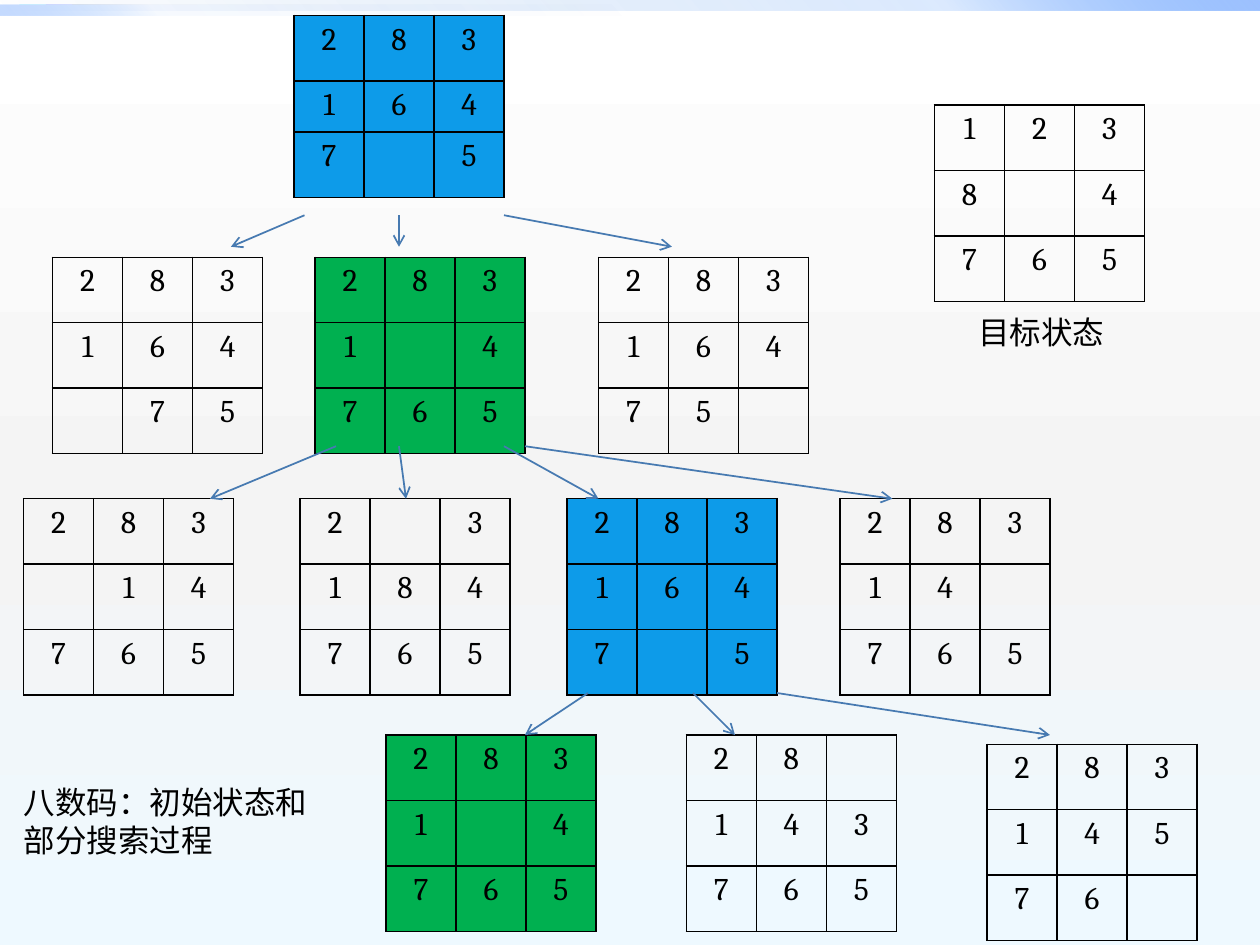
from lxml.etree import SubElement
from pptx import Presentation
from pptx.dml.color import RGBColor
from pptx.enum.shapes import MSO_CONNECTOR as CONNECTOR, MSO_SHAPE as SHAPE
from pptx.enum.text import MSO_AUTO_SIZE as AUTO_SIZE, PP_ALIGN as ALIGN
from pptx.oxml import parse_xml
from pptx.oxml.ns import nsdecls, qn
from pptx.util import Pt

COLORS = {
    "text": "000000", "border": "000000", "arrow": "477AB1",
    "blue": "0D9BE9", "green": "00B050",
    "white": "FFFFFF", "gray": "F4F4F4", "pale": "EEF9FF",
    "bar_dark": "0058B7", "bar_mid": "4F95FF", "bar_light": "9EC2FF",
}
FONT = "Cambria"
CELL_WIDTH, ROW_HEIGHT = 40, 37.4
SHORT_ROW = 29.2

# left, top, digits row by row (a space is the empty square), fill
BOARDS = [
    (168, 8.8, "2831647 5", "blue"),
    (30, 147, "283164 75", None),
    (180, 147, "2831 4765", "green"),
    (342, 147, "28316475 ", None),
    (13.5, 285, "283 14765", None),
    (171.5, 285, "2 3184765", None),
    (324, 285, "2831647 5", "blue"),
    (480, 285, "28314 765", None),
    (220.5, 420, "2831 4765", "green"),
    (392.2, 420, "28 143765", None),
    (564, 425.3, "28314576 ", None),
    (534, 60, "1238 4765", None),
]

# start y, end y, pairs of start x and end x
ARROW_LEVELS = [
    (123, 141, [(174, 132), (228, 228), (288, 384)]),
    (255, 285, [(192, 120), (228, 232), (288, 342), (300, 510)]),
    (396, 420, [(336, 300), (396, 420), (444, 600)]),
]


def rgb(name):
    return RGBColor.from_string(COLORS[name])


def set_gradient(fill, properties, stops, angle):
    """Give a fill the stops (position, colour, opacity), all in percent."""
    fill.gradient()
    gradient = properties.find(qn("a:gradFill"))
    for child in list(gradient):
        gradient.remove(child)
    stop_list = SubElement(gradient, qn("a:gsLst"))
    for position, color, opacity in stops:
        stop = SubElement(stop_list, qn("a:gs"), pos=str(position * 1000))
        value = SubElement(stop, qn("a:srgbClr"), val=COLORS[color])
        SubElement(value, qn("a:alpha"), val=str(opacity * 1000))
    SubElement(gradient, qn("a:lin"), ang=str(angle * 60000), scaled="0")


def set_background(slide):
    fill = slide.background.fill
    properties = slide.element.find(".//" + qn("p:bgPr"))
    stops = [(0, "white", 100), (55, "gray", 100), (100, "pale", 100)]
    set_gradient(fill, properties, stops, 90)


def add_bar(slide, top, width, opacities, angle):
    shape = slide.shapes.add_shape(SHAPE.RECTANGLE, 0, Pt(top), Pt(width), Pt(5.8))
    shape.shadow.inherit = False
    shape.line.fill.background()
    stops = zip((0, 75, 100), ("bar_dark", "bar_mid", "bar_light"), opacities)
    set_gradient(shape.fill, shape.element.spPr, stops, angle)


def write_text(frame, text, size=18, color="text", align=ALIGN.LEFT):
    paragraph = frame.paragraphs[0]
    paragraph.alignment = align
    run = paragraph.add_run()
    run.text = text
    run.font.name = FONT
    run.font.size = Pt(size)
    run.font.color.rgb = rgb(color)


def add_label(slide, text, left, top, width, height):
    frame = slide.shapes.add_textbox(Pt(left), Pt(top), Pt(width), Pt(height)).text_frame
    frame.word_wrap = True
    frame.auto_size = AUTO_SIZE.SHAPE_TO_FIT_TEXT
    write_text(frame, text)


def add_borders(cell):
    properties = cell._tc.get_or_add_tcPr()
    for index, side in enumerate("LRTB"):
        properties.insert(index, parse_xml(
            f'<a:ln{side} {nsdecls("a")} w="12700"><a:solidFill>'
            f'<a:srgbClr val="{COLORS["border"]}"/></a:solidFill></a:ln{side}>'))


def add_board(slide, left, top, digits, fill, middle_height=ROW_HEIGHT):
    heights = (ROW_HEIGHT, middle_height, ROW_HEIGHT)
    table = slide.shapes.add_table(
        3, 3, Pt(left), Pt(top), Pt(3 * CELL_WIDTH), Pt(sum(heights))).table
    table.first_row = table.horz_banding = False
    for column in table.columns:
        column.width = Pt(CELL_WIDTH)
    for row, height in zip(table.rows, heights):
        row.height = Pt(height)
    for cell, digit in zip(table.iter_cells(), digits):
        if fill:
            cell.fill.solid()
            cell.fill.fore_color.rgb = rgb(fill)
        else:
            cell.fill.background()
        add_borders(cell)
        if digit != " ":
            write_text(cell.text_frame, digit, align=ALIGN.CENTER)


def add_arrow(slide, start_x, start_y, end_x, end_y):
    arrow = slide.shapes.add_connector(
        CONNECTOR.STRAIGHT, Pt(start_x), Pt(start_y), Pt(end_x), Pt(end_y))
    arrow.line.color.rgb = rgb("arrow")
    arrow.line.width = Pt(1)
    SubElement(arrow.line._get_or_add_ln(), qn("a:tailEnd"), type="arrow")
    SubElement(arrow._element.spPr, qn("a:effectLst"))


def main():
    presentation = Presentation()
    presentation.slide_width, presentation.slide_height = Pt(720), Pt(540)
    slide = presentation.slides.add_slide(presentation.slide_layouts[6])

    set_background(slide)
    add_bar(slide, 0, 720, (0, 20, 100), 315)
    add_bar(slide, 2.9, 360, (0, 5, 60), 135)

    initial, *others = BOARDS
    add_board(slide, *initial, middle_height=SHORT_ROW)
    for board in others:
        add_board(slide, *board)
    for start_y, end_y, pairs in ARROW_LEVELS:
        for start_x, end_x in pairs:
            add_arrow(slide, start_x, start_y, end_x, end_y)

    add_label(slide, "八数码：初始状态和部分搜索过程", 6.5, 444, 192, 51)
    add_label(slide, "目标状态", 552, 175.5, 114, 29)
    presentation.save("out.pptx")


if __name__ == "__main__":
    main()
